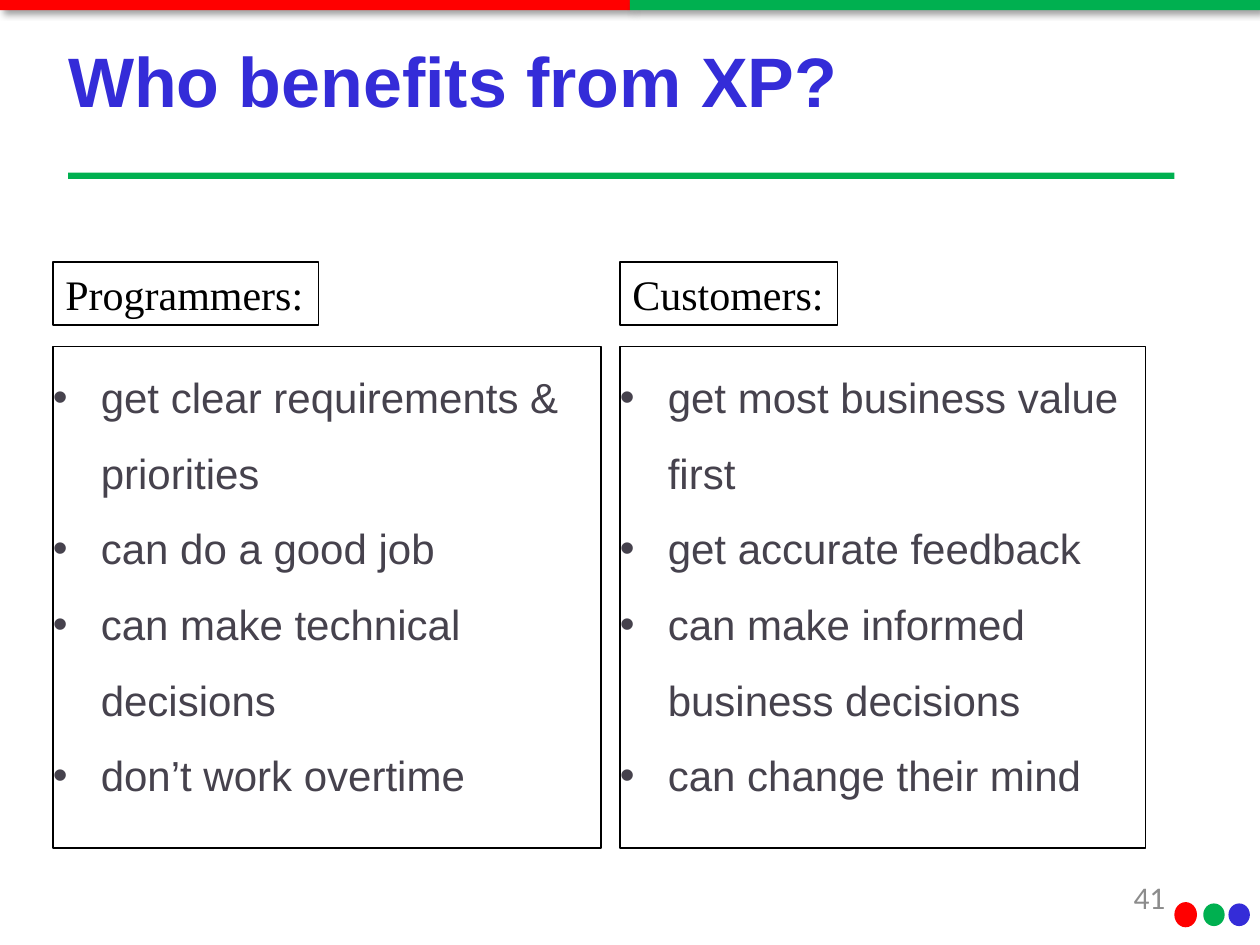
from lxml import etree
from pptx import Presentation
from pptx.dml.color import RGBColor
from pptx.enum.shapes import MSO_SHAPE as Shape
from pptx.enum.text import MSO_ANCHOR as Anchor, MSO_AUTO_SIZE as AutoSize, PP_ALIGN as Align
from pptx.oxml import parse_xml
from pptx.oxml.ns import nsdecls
from pptx.util import Inches, Pt

RED = RGBColor(0xFF, 0x00, 0x00)
GREEN = RGBColor(0x00, 0xB0, 0x50)
BLUE = RGBColor(0x34, 0x2C, 0xD8)
BLACK = RGBColor(0x00, 0x00, 0x00)
WHITE = RGBColor(0xFF, 0xFF, 0xFF)
BODY_GRAY = RGBColor(0x46, 0x42, 0x4D)
NUMBER_GRAY = RGBColor(0x8C, 0x8C, 0x8C)

SHADOW_XML = (
    f'<a:effectLst {nsdecls("a")}>'
    f'<a:outerShdw blurRad="{Pt(4)}" dist="{Pt(3)}" dir="2700000" algn="tl" rotWithShape="0">'
    '<a:srgbClr val="000000"><a:alpha val="40000"/></a:srgbClr>'
    '</a:outerShdw></a:effectLst>'
)

COLUMNS = [
    ("Programmers:", 0.42, 2.11, 4.35, [
        "get clear requirements & priorities",
        "can do a good job",
        "can make technical decisions",
        "don’t work overtime",
    ]),
    ("Customers:", 4.92, 1.73, 4.17, [
        "get most business value first",
        "get accurate feedback",
        "can make informed business decisions",
        "can change their mind",
    ]),
]


class SlideBuilder:
    body_font = "Arial"
    label_font = "Times New Roman"
    number_font = "Calibri"

    def __init__(self, page):
        self.page = page

    @staticmethod
    def place(box, left, top, width, height):
        box.left, box.top = Inches(left), Inches(top)
        box.width, box.height = Inches(width), Inches(height)

    @staticmethod
    def style(paragraph, font_name, size, color, bold=False, align=Align.LEFT):
        font = paragraph.font
        font.name, font.size, font.bold = font_name, Pt(size), bold
        font.color.rgb = color
        paragraph.alignment = align

    @staticmethod
    def outline(box):
        box.line.color.rgb = BLACK
        box.line.width = Pt(0.75)

    @staticmethod
    def plain_frame(box, anchor=Anchor.TOP):
        """Give the text frame zero margins and a fixed size."""
        frame = box.text_frame
        frame.margin_left = frame.margin_right = 0
        frame.margin_top = frame.margin_bottom = 0
        frame.word_wrap = True
        frame.auto_size = AutoSize.NONE
        frame.vertical_anchor = anchor
        return frame

    def solid(self, kind, left, top, width, height, color):
        box = self.page.shapes.add_shape(
            kind, Inches(left), Inches(top), Inches(width), Inches(height))
        box.shadow.inherit = False
        box.fill.solid()
        box.fill.fore_color.rgb = color
        box.line.fill.background()
        return box

    def top_band(self, left, color):
        band = self.solid(Shape.RECTANGLE, left, 0, 5, 0.08, color)
        properties = band.element.spPr
        properties.remove(properties.find("{*}effectLst"))
        properties.append(parse_xml(SHADOW_XML))

    def title(self, text):
        box = self.page.shapes.title
        self.place(box, 0.54, 0.3, 8.78, 0.67)
        frame = self.plain_frame(box)
        frame.text = text
        self.style(frame.paragraphs[0], self.body_font, 40, BLUE, bold=True)

    def bullet_list(self, box, left, width, items):
        self.place(box, left, 2.75, width, 3.98)
        self.outline(box)
        frame = self.plain_frame(box)
        frame.text = "\n".join(items)
        for paragraph in frame.paragraphs:
            self.style(paragraph, self.body_font, 24, BODY_GRAY)
            paragraph.line_spacing = 1.5
            paragraph.space_before = Pt(0)
            properties = paragraph._p.get_or_add_pPr()
            properties.set("marL", str(Inches(0.38)))
            properties.set("indent", str(-Inches(0.38)))
            bullet = etree.SubElement(properties, properties.tag.replace("pPr", "buChar"))
            bullet.set("char", "•")

    def label(self, text, left, width):
        box = self.solid(Shape.RECTANGLE, left, 2.08, width, 0.5, WHITE)
        self.outline(box)
        frame = box.text_frame
        frame.word_wrap = False
        frame.vertical_anchor = Anchor.TOP
        frame.text = text
        self.style(frame.paragraphs[0], self.label_font, 24, BLACK)

    def page_number(self, text):
        box = self.page.shapes.add_textbox(
            Inches(6.95), Inches(6.97), Inches(2.3), Inches(0.38))
        frame = self.plain_frame(box)
        frame.text = text
        self.style(frame.paragraphs[0], self.number_font, 18, NUMBER_GRAY, align=Align.RIGHT)


def main():
    deck = Presentation()
    deck.slide_width, deck.slide_height = Inches(10), Inches(7.5)
    two_content = deck.slide_layouts[3]
    page = deck.slides.add_slide(two_content)
    builder = SlideBuilder(page)

    builder.solid(Shape.RECTANGLE, 0.54, 1.37, 8.78, 0.05, GREEN)
    builder.solid(Shape.OVAL, 9.75, 7.17, 0.17, 0.18, BLUE)
    builder.solid(Shape.OVAL, 9.55, 7.17, 0.17, 0.18, GREEN)
    builder.solid(Shape.OVAL, 9.32, 7.16, 0.18, 0.2, RED)
    builder.top_band(0, RED)
    builder.top_band(5, GREEN)

    builder.title("Who benefits from XP?")
    for index, (heading, left, label_width, list_width, items) in enumerate(COLUMNS, start=1):
        builder.label(heading, left, label_width)
        builder.bullet_list(page.placeholders[index], left, list_width, items)
    builder.page_number("41")

    deck.save("out.pptx")


if __name__ == "__main__":
    main()
